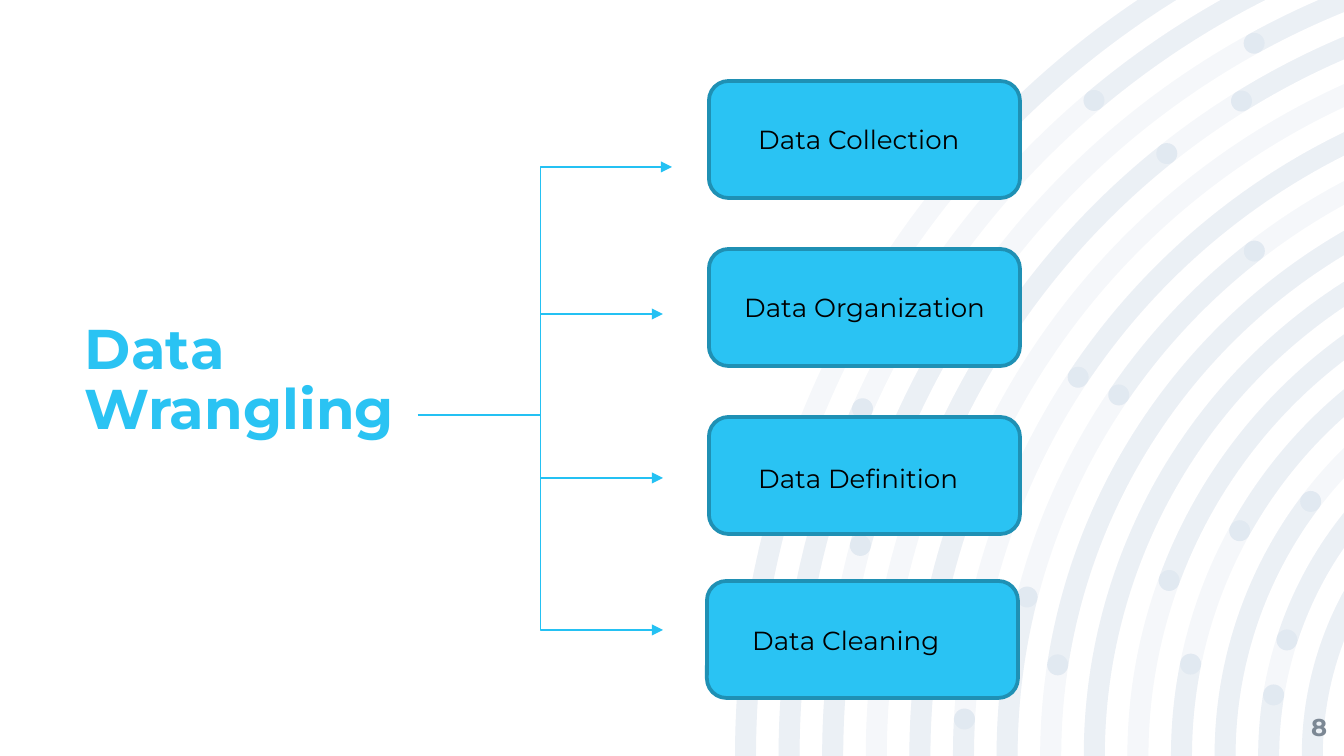
from dataclasses import dataclass
from math import acos, asin, cos, degrees, hypot, radians, sin

from lxml import etree
from pptx import Presentation
from pptx.dml.color import RGBColor
from pptx.enum import shapes, text
from pptx.oxml import ns
from pptx.util import Emu, Pt

PX = 914400 / 134.4
WIDTH, HEIGHT = 1344, 756
CENTER = (1646, 756)
RIGHT_GAP = CENTER[0] - WIDTH
OUTER_RADIUS, BAND_STEP, BAND_WIDTH = 911, 43.6, 21
CAP = BAND_WIDTH / 2
EDGE = None


@dataclass(frozen=True)
class Theme:
    font: str = "Montserrat"
    accent: str = "2AC3F3"
    connector: str = "24C1F3"
    border: str = "1F90B4"
    ink: str = "000000"
    muted: str = "7C8894"
    arcs: str = "004591"
    arc_alpha: int = 4000
    title_size: float = 30
    label_size: float = 14
    number_size: float = 13
    border_width: float = 2
    connector_width: float = 0.75


THEME = Theme()

ARC_SPANS = [
    [(0, 18.5), (42.6, EDGE)],
    [(0, 23.9), (49.9, EDGE)],
    [(0, 6.1), (15, 34.6), (61.2, EDGE)],
    [(19.3, 51.5), (58.3, EDGE)],
    [(0, 22.8)],
    [(0, 3.1), (33.7, EDGE)],
    [(0, 14.4), (34.4, 52.2)],
    [(8.8, EDGE)],
    [(0, EDGE)],
    [(20.2, EDGE)],
    [(0, 11.4), (29, EDGE)],
    [(0, 37.2)],
    [(0, 9.3), (17.9, EDGE)],
    [(0, EDGE)],
]

STEPS = [
    ("Data Collection", (709, 81), (745, 117, 250)),
    ("Data Organization", (709, 249), (731, 285, 278)),
    ("Data Definition", (709, 417), (745, 456, 278)),
    ("Data Cleaning", (707, 581), (739, 618, 278)),
]


def px(value):
    return Emu(round(value * PX))


def apply_format(target, values):
    for name, value in values.items():
        setattr(target, name, value)


def around(center, radius, angle):
    turn = radians(angle)
    return center[0] - radius * cos(turn), center[1] - radius * sin(turn)


def line_to(point):
    return point, None


def arc_to(center, radius, start, end):
    return around(center, radius, end), (radius, start + 180, end - start)


def edge_angle(radius):
    top = asin(min(1, HEIGHT / radius))
    return degrees(min(top, acos(RIGHT_GAP / radius)))


def band_outline(band, start, end):
    outer = OUTER_RADIUS - BAND_STEP * band
    inner, middle = outer - BAND_WIDTH, outer - CAP
    if end is EDGE:
        outer_end, inner_end = edge_angle(outer), edge_angle(inner)
        corner = inner < hypot(RIGHT_GAP, HEIGHT) < outer
        tip = [line_to((WIDTH, 0))] if corner else []
        tip.append(line_to(around(CENTER, inner, inner_end)))
    else:
        outer_end = inner_end = end
        tip = [arc_to(around(CENTER, middle, end), CAP, end, end + 180)]
    outline = [line_to(around(CENTER, outer, start)), arc_to(CENTER, outer, start, outer_end)]
    outline += tip + [arc_to(CENTER, inner, inner_end, start)]
    if start:
        outline.append(arc_to(around(CENTER, middle, start), CAP, start + 180, start + 360))
    return outline


def dot_outline(band, angle):
    center = around(CENTER, OUTER_RADIUS - BAND_STEP * band - CAP, angle)
    halves = [arc_to(center, CAP, turn, turn + 180) for turn in (0, 180)]
    return [line_to(around(center, CAP, 0))] + halves


def curve_segments(shape, arcs):
    segments = list(shape._element.spPr.iter(ns.qn("a:lnTo")))
    for segment, arc in zip(segments, arcs):
        if arc:
            radius, start, sweep = arc
            values = {"wR": px(radius), "hR": px(radius),
                      "stAng": round(start % 360 * 60000), "swAng": round(sweep * 60000)}
            curve = etree.Element(ns.qn("a:arcTo"), {k: str(int(v)) for k, v in values.items()})
            segment.getparent().replace(segment, curve)


def add_outlines(slide, outlines):
    builder = None
    for outline in outlines:
        points = [(px(x), px(y)) for (x, y), _ in outline]
        if builder:
            builder.move_to(*points[0])
        else:
            builder = slide.shapes.build_freeform(*points[0], scale=1.0)
        builder.add_line_segments(points[1:], close=True)
    shape = builder.convert_to_shape()
    curve_segments(shape, [arc for outline in outlines for _, arc in outline[1:]])
    shape.shadow.inherit = False
    shape.fill.solid()
    shape.fill.fore_color.rgb = RGBColor.from_string(THEME.arcs)
    shape.line.fill.background()
    color = shape._element.spPr.find(".//" + ns.qn("a:srgbClr"))
    etree.SubElement(color, ns.qn("a:alpha"), val=str(THEME.arc_alpha))


def add_background(slide):
    spans = [(band, *span) for band, row in enumerate(ARC_SPANS) for span in row]
    dots = [(band, angle) for band, *ends in spans for angle in ends if angle]
    add_outlines(slide, [band_outline(band, 0, EDGE) for band in range(len(ARC_SPANS))])
    add_outlines(slide, [band_outline(*span) for span in spans])
    add_outlines(slide, [dot_outline(*dot) for dot in dots])


def add_text(slide, content, box, size, color, bold=False, frame=None, layout=None):
    text_frame = slide.shapes.add_textbox(*map(px, box)).text_frame
    apply_format(text_frame, {"word_wrap": True, **(frame or {})})
    paragraph = text_frame.paragraphs[0]
    apply_format(paragraph, layout or {})
    run = paragraph.add_run()
    run.text = content
    apply_format(run.font, {"name": THEME.font, "size": Pt(size), "bold": bold})
    run.font.color.rgb = RGBColor.from_string(color)


def add_arrow(slide, kind, start, end, bend=None):
    connector = slide.shapes.add_connector(kind, *map(px, start + end))
    connector.line.color.rgb = RGBColor.from_string(THEME.connector)
    connector.line.width = Pt(THEME.connector_width)
    properties = connector._element.spPr
    line = properties.find(ns.qn("a:ln"))
    etree.SubElement(line, ns.qn("a:tailEnd"), type="triangle")
    etree.SubElement(properties, ns.qn("a:effectLst"))
    if bend:
        guides = properties.find(".//" + ns.qn("a:avLst"))
        etree.SubElement(guides, ns.qn("a:gd"), name="adj1", fmla=f"val {bend}")


def add_arrows(slide):
    elbow, straight = shapes.MSO_CONNECTOR.ELBOW, shapes.MSO_CONNECTOR.STRAIGHT
    add_arrow(slide, elbow, (418, 415), (663, 630))
    for y in (478, 314):
        add_arrow(slide, straight, (541, y), (663, y))
    add_arrow(slide, elbow, (418, 415), (672, 167), bend=48300)


def add_step_box(slide, left, top):
    kind = shapes.MSO_SHAPE.ROUNDED_RECTANGLE
    shape = slide.shapes.add_shape(kind, *map(px, (left, top, 311, 117)))
    shape.shadow.inherit = False
    shape.fill.solid()
    shape.fill.fore_color.rgb = RGBColor.from_string(THEME.accent)
    shape.line.color.rgb = RGBColor.from_string(THEME.border)
    shape.line.width = Pt(THEME.border_width)


def main():
    presentation = Presentation()
    apply_format(presentation, {"slide_width": px(WIDTH), "slide_height": px(HEIGHT)})
    slide = presentation.slides.add_slide(presentation.slide_layouts[6])
    flush = {f"margin_{side}": 0 for side in ("left", "top", "right", "bottom")}
    add_background(slide)
    add_text(slide, "8", (1246, 698, 81, 58), THEME.number_size, THEME.muted, True,
             {**flush, "vertical_anchor": text.MSO_ANCHOR.MIDDLE},
             {"alignment": text.PP_ALIGN.RIGHT})
    add_text(slide, "Data Wrangling", (85, 313, 349, 129), THEME.title_size, THEME.accent, True,
             {**flush, "vertical_anchor": text.MSO_ANCHOR.BOTTOM}, {"line_spacing": 0.9})
    add_arrows(slide)
    for _, position, _ in STEPS:
        add_step_box(slide, *position)
    for label, _, place in STEPS:
        add_text(slide, label, (*place, 46), THEME.label_size, THEME.ink,
                 frame={"auto_size": text.MSO_AUTO_SIZE.SHAPE_TO_FIT_TEXT})
    presentation.save("out.pptx")


if __name__ == "__main__":
    main()
